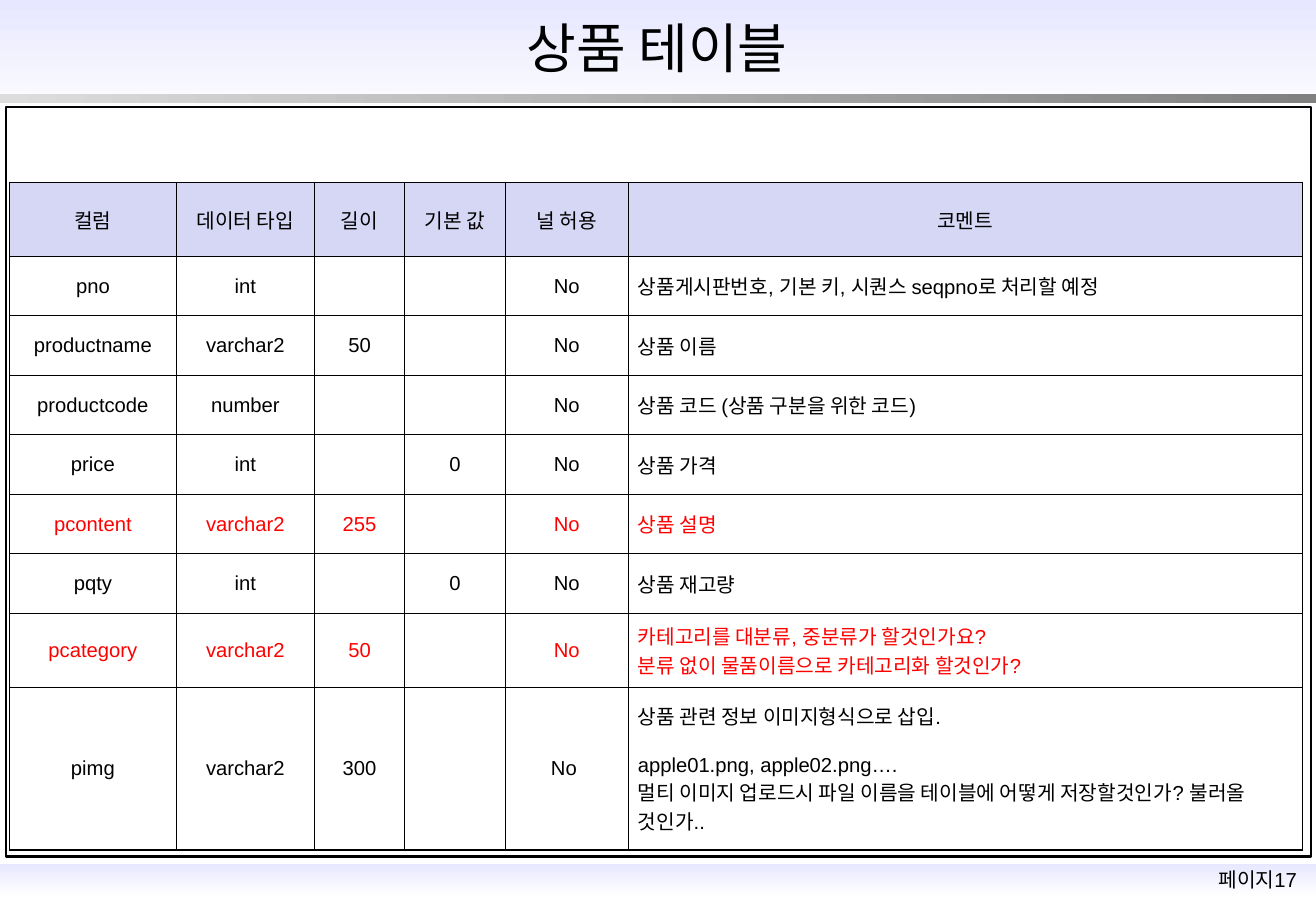
import pptx
import pptx.util
import pptx.dml.color
import pptx.enum.shapes
import pptx.enum.text
import pptx.oxml
from pptx.util import Inches

COLORS = {
    "black": "000000",
    "red": "FF0000",
    "lavender": "E7E7FF",
    "white": "FFFFFF",
    "light_gray": "DDDDDD",
    "gray": "808080",
    "header": "D6D6F5",
}
CENTER = pptx.enum.text.PP_ALIGN.CENTER
LEFT = pptx.enum.text.PP_ALIGN.LEFT
MIDDLE = pptx.enum.text.MSO_ANCHOR.MIDDLE
RECTANGLE = pptx.enum.shapes.MSO_SHAPE.RECTANGLE


def rgb(name):
    return pptx.dml.color.RGBColor.from_string(COLORS[name])


def write(frame, text, size, color, align):
    frame.text = text
    for para in frame.paragraphs:
        para.alignment = align
        para.font.name = "Arial"
        para.font.size = pptx.util.Pt(size)
        para.font.bold = False
        para.font.color.rgb = rgb(color)


deck = pptx.Presentation()
deck.slide_width = Inches(10.83)
deck.slide_height = Inches(7.5)
page = deck.slides.add_slide(deck.slide_layouts[5])

bands = [
    (7.11, 0.27, "lavender", "white", 270),
    (0, 1, "lavender", "white", 270),
    (0.77, 0.08, "light_gray", "gray", 0),
]
for top, height, start, end, angle in bands:
    band = page.shapes.add_shape(RECTANGLE, 0, Inches(top), deck.slide_width, Inches(height))
    band.shadow.inherit = False
    band.line.fill.background()
    band.fill.gradient()
    band.fill.gradient_angle = angle
    for stop, color, position in zip(band.fill.gradient_stops, (start, end), (0, 1)):
        stop.color.rgb = rgb(color)
        stop.position = position

border = page.shapes.add_shape(RECTANGLE, Inches(0.05), Inches(0.88), Inches(10.74), Inches(6.17))
border.shadow.inherit = False
border.fill.background()
border.line.color.rgb = rgb("black")
border.line.width = pptx.util.Pt(1.5)

page_number = page.shapes.add_textbox(Inches(9.82), Inches(7.09), Inches(1.06), Inches(0.3))
page_number.text_frame.word_wrap = True
write(page_number.text_frame, "페이지17", 12, "black", CENTER)

title = page.shapes.title
title.left, title.top = Inches(1.63), Inches(0.13)
title.width, title.height = Inches(7.56), Inches(0.51)
frame = title.text_frame
frame.margin_left = frame.margin_right = frame.margin_top = frame.margin_bottom = 0
frame.auto_size = pptx.enum.text.MSO_AUTO_SIZE.NONE
frame.vertical_anchor = MIDDLE
write(frame, "상품 테이블", 32, "black", CENTER)
page.shapes._spTree.append(title._element)

column_widths = [1.37, 1.14, 0.74, 0.83, 1.01, 5.55]
row_heights = [0.61] + [0.49] * 6 + [0.61, 1.34]
rows = [
    ("컬럼", "데이터 타입", "길이", "기본 값", "널 허용", "코멘트"),
    ("pno", "int", "", "", "No", "상품게시판번호, 기본 키, 시퀀스 seqpno로 처리할 예정"),
    ("productname", "varchar2", "50", "", "No", "상품 이름"),
    ("productcode", "number", "", "", "No", "상품 코드 (상품 구분을 위한 코드)"),
    ("price", "int", "", "0", "No", "상품 가격"),
    ("pcontent", "varchar2", "255", "", "No", "상품 설명"),
    ("pqty", "int", "", "0", "No", "상품 재고량"),
    ("pcategory", "varchar2", "50", "", "No",
     "카테고리를 대분류, 중분류가 할것인가요?\n분류 없이 물품이름으로 카테고리화 할것인가?"),
    ("pimg", "varchar2", "300", "", "No ",
     "상품 관련 정보 이미지형식으로 삽입.\napple01.png, apple02.png….\n"
     "멀티 이미지 업로드시 파일 이름을 테이블에 어떻게 저장할것인가? 불러올 것인가.."),
]
red_columns = {"pcontent", "pcategory"}

table = page.shapes.add_table(
    len(rows), len(column_widths), Inches(0.08), Inches(1.5), Inches(10.65), Inches(5.48)
).table
table.first_row = False
table.horz_banding = False
for column, width in zip(table.columns, column_widths):
    column.width = Inches(width)
for row, height in zip(table.rows, row_heights):
    row.height = Inches(height)

for row_index, values in enumerate(rows):
    for column_index, value in enumerate(values):
        cell = table.cell(row_index, column_index)
        cell.margin_left = cell.margin_right = Inches(0.08)
        cell.margin_top = cell.margin_bottom = Inches(0.04)
        cell.vertical_anchor = MIDDLE
        is_comment = row_index > 0 and column_index == 5
        color = "red" if values[0] in red_columns else "black"
        write(cell.text_frame, value, 12, color, LEFT if is_comment else CENTER)
        properties = cell._tc.get_or_add_tcPr()
        for side in ("lnL", "lnR", "lnT", "lnB"):
            properties.append(pptx.oxml.parse_xml(
                f'<a:{side} xmlns:a="http://schemas.openxmlformats.org/drawingml/2006/main" w="9525">'
                f'<a:solidFill><a:srgbClr val="{COLORS["black"]}"/></a:solidFill></a:{side}>'
            ))
        if row_index == 0:
            cell.fill.solid()
            cell.fill.fore_color.rgb = rgb("header")
        else:
            cell.fill.background()

image_comment = table.cell(8, 5).text_frame
image_comment.paragraphs[1].space_before = pptx.util.Pt(14)

deck.save("out.pptx")
